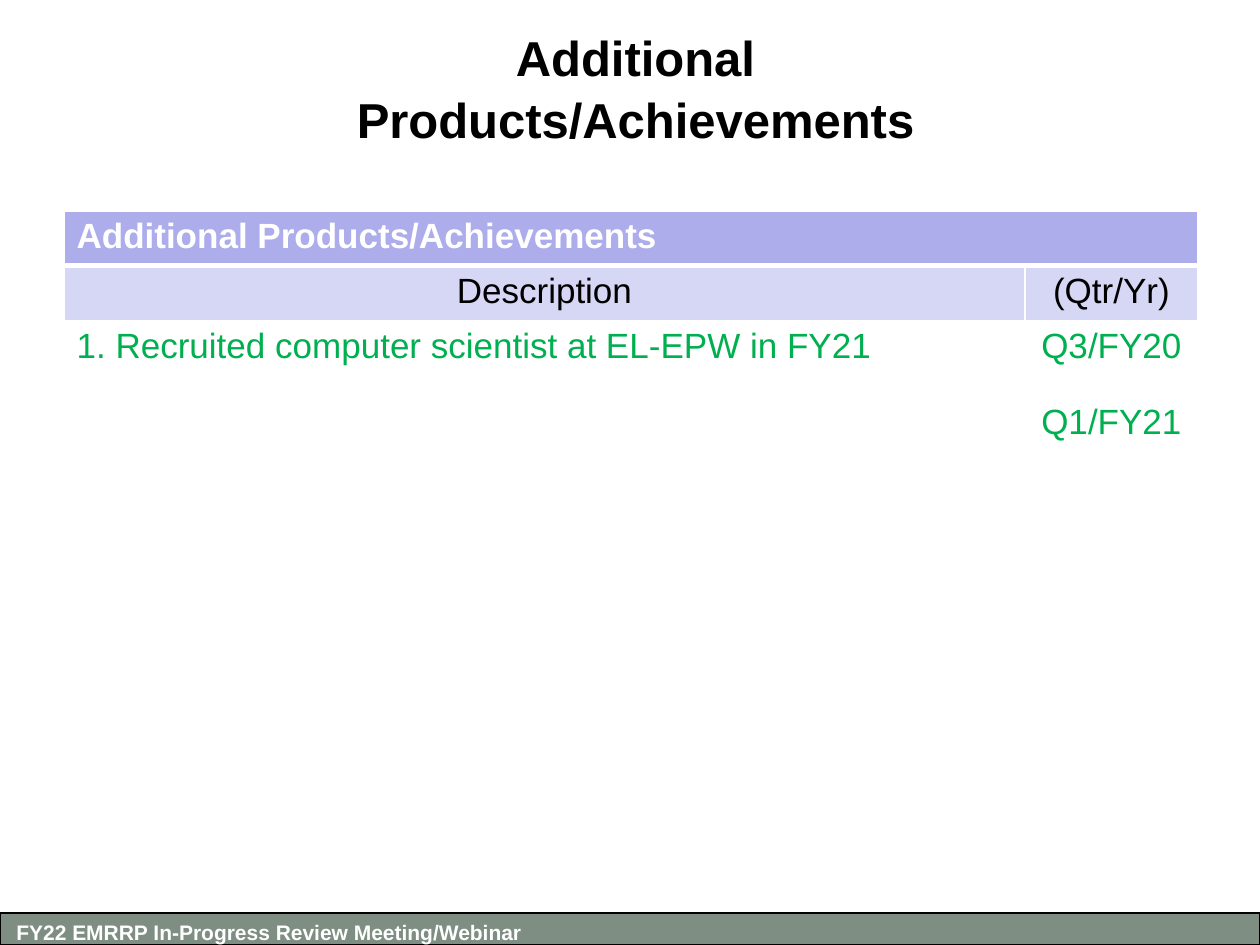
from dataclasses import dataclass

from lxml.etree import SubElement
from pptx import Presentation
from pptx.dml.color import RGBColor
from pptx.enum.shapes import MSO_SHAPE as Shape
from pptx.enum.text import MSO_ANCHOR as Anchor, PP_ALIGN as Align
from pptx.oxml.ns import qn
from pptx.util import Pt

EMU_PER_PX = 914400 / 126


@dataclass(frozen=True)
class Theme:
    font: str = "Arial"
    title_size: int = 28
    table_size: int = 20
    footer_size: int = 12
    black: str = "000000"
    white: str = "FFFFFF"
    done: str = "00B050"
    bar: str = "7E8E83"
    header: str = "ADADEB"
    subheader: str = "D6D6F5"


THEME = Theme()


def px(*lengths):
    return [round(length * EMU_PER_PX) for length in lengths]


def set_format(target, values):
    for name, value in values.items():
        setattr(target, name, value)


def write(frame, lines, size, color, bold=False, **layout):
    for index, line in enumerate(lines):
        paragraph = frame.paragraphs[0] if index == 0 else frame.add_paragraph()
        gap = layout.get("gap")
        set_format(paragraph, {
            "alignment": layout.get("align", Align.LEFT),
            "line_spacing": layout.get("line_spacing"),
            "space_before": Pt(gap) if index and gap else None,
        })
        run = paragraph.add_run()
        run.text = line
        set_format(run.font, {"name": THEME.font, "size": Pt(size), "bold": bold})
        run.font.color.rgb = RGBColor.from_string(color)


def add_bar(slide, box):
    bar = slide.shapes.add_shape(Shape.RECTANGLE, *px(*box))
    bar.shadow.inherit = False
    bar.fill.solid()
    bar.fill.fore_color.rgb = RGBColor.from_string(THEME.bar)
    bar.line.color.rgb = RGBColor.from_string(THEME.black)
    bar.line.width = Pt(0.75)


def add_label(slide, box, text, size, color, wrap=True, anchor=Anchor.TOP, **layout):
    frame = slide.shapes.add_textbox(*px(*box)).text_frame
    set_format(frame, {"word_wrap": wrap, "vertical_anchor": anchor})
    write(frame, [text], size, color, bold=True, **layout)


def style_cell(cell, fill, bottom_width):
    properties = cell._tc.get_or_add_tcPr()
    for side, width in {"L": 1, "R": 1, "T": 1, "B": bottom_width}.items():
        border = SubElement(properties, qn(f"a:ln{side}"), w=str(Pt(width)))
        paint = SubElement(border, qn("a:solidFill"))
        SubElement(paint, qn("a:srgbClr"), val=THEME.white)
    if fill:
        cell.fill.solid()
        cell.fill.fore_color.rgb = RGBColor.from_string(fill)
    else:
        cell.fill.background()


def add_achievements(slide, left, top, widths, heights):
    center = Align.CENTER
    rows = [
        (THEME.header, THEME.white, True, 3,
         [(["Additional Products/Achievements"], Align.LEFT)]),
        (THEME.subheader, THEME.black, False, 1,
         [(["Description"], center), (["(Qtr/Yr)"], center)]),
        (None, THEME.done, False, 1,
         [(["1. Recruited computer scientist at EL-EPW in FY21"], Align.LEFT),
          (["Q3/FY20", "Q1/FY21"], center)]),
    ]
    table = slide.shapes.add_table(
        len(rows), len(widths), *px(left, top, sum(widths), sum(heights))
    ).table
    set_format(table, {"first_row": False, "horz_banding": False})
    for column, width in zip(table.columns, px(*widths)):
        column.width = width
    for row, height in zip(table.rows, px(*heights)):
        row.height = height
    table.cell(0, 0).merge(table.cell(0, 1))
    for row, (fill, color, bold, bottom, entries) in zip(table.rows, rows):
        for cell in row.cells:
            style_cell(cell, fill, bottom)
        for cell, (lines, align) in zip(row.cells, entries):
            write(cell.text_frame, lines, THEME.table_size, color, bold,
                  align=align, gap=21.5)


def main():
    presentation = Presentation()
    width, height = px(1260, 945)
    set_format(presentation, {"slide_width": width, "slide_height": height})
    slide = presentation.slides.add_slide(presentation.slide_layouts[6])
    add_bar(slide, (0, 913, 1260, 32))
    add_label(slide, (4, 913, 542, 38), "FY22 EMRRP In-Progress Review Meeting/Webinar",
              THEME.footer_size, THEME.white, wrap=False)
    add_label(slide, (231, 21, 809, 131), "Additional Products/Achievements",
              THEME.title_size, THEME.black, anchor=Anchor.MIDDLE,
              align=Align.CENTER, line_spacing=1.05)
    add_achievements(slide, 64, 211, (961, 173), (52, 53, 204))
    presentation.save("out.pptx")


if __name__ == "__main__":
    main()
